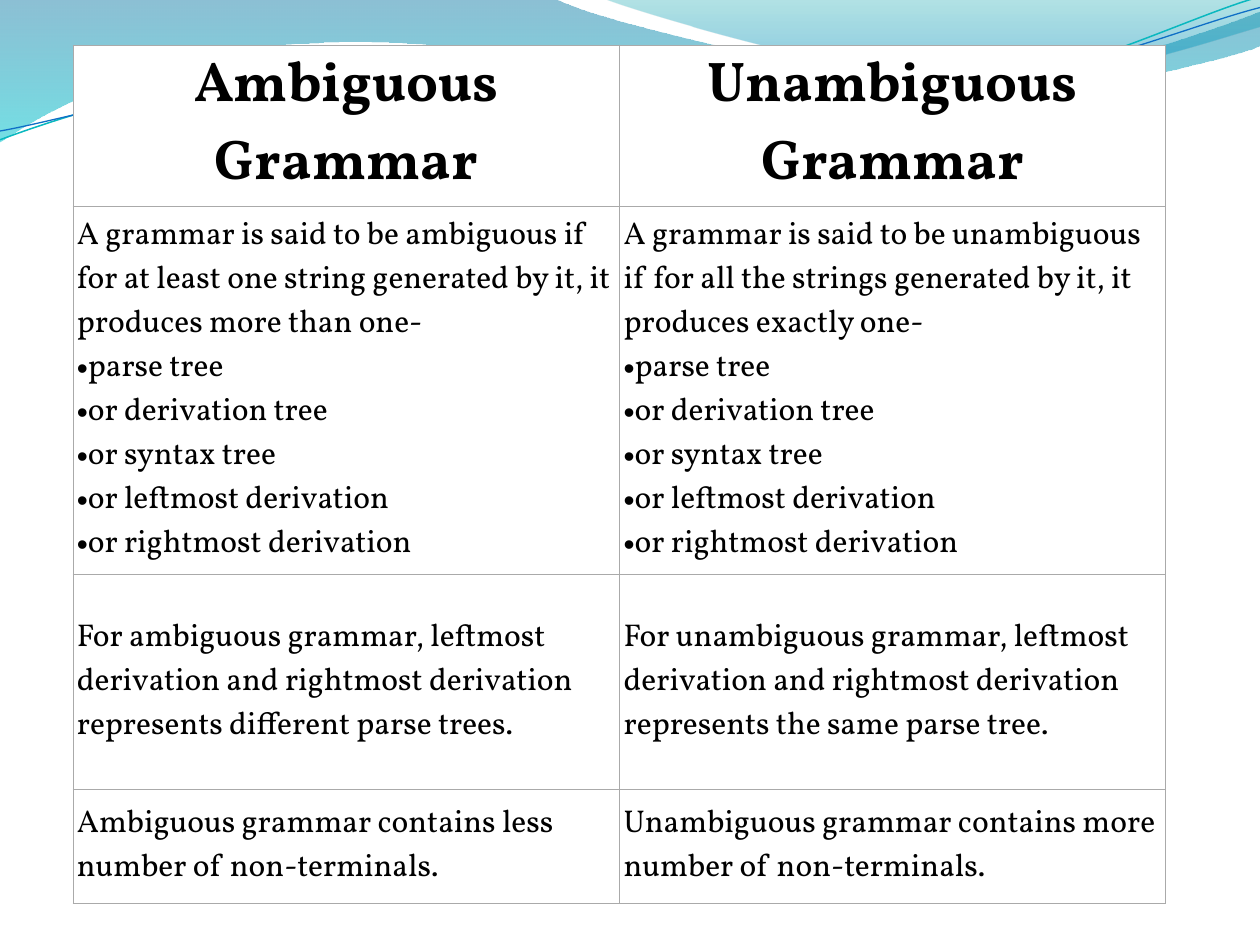
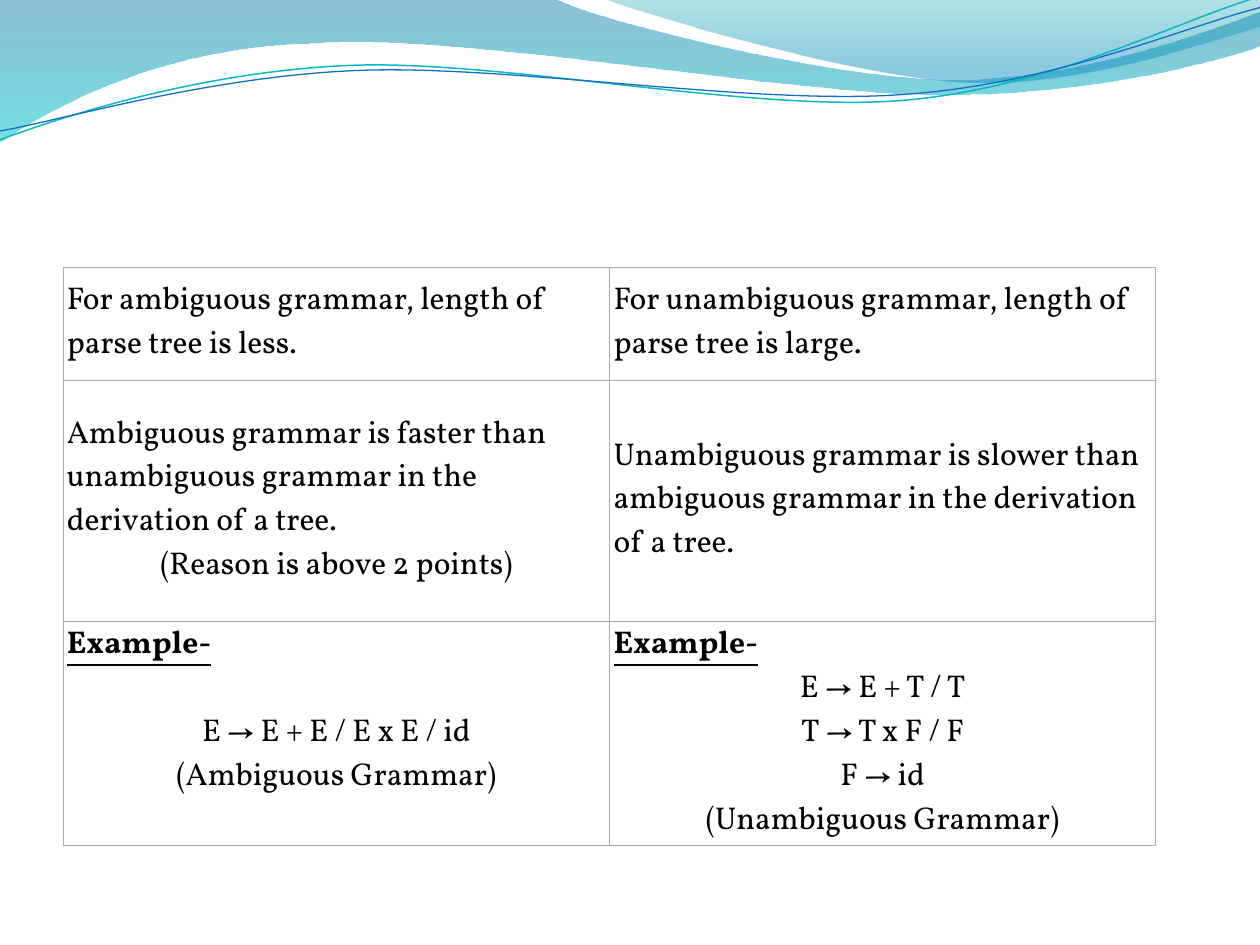
"""Build two slides that compare ambiguous and unambiguous grammars."""
from lxml.etree import Element, SubElement
from pptx import Presentation
from pptx.dml.color import RGBColor
from pptx.enum.text import MSO_ANCHOR, PP_ALIGN
from pptx.oxml.ns import qn
from pptx.util import Inches, Pt

FONT = "Vollkorn"
BULLET_FONT = "Arial"
COLORS = {
    "text": "000000", "cell": "FFFFFF", "border": "AAAAAA",
    "wave_top": "0074A1", "wave_bottom": "00C6CF",
    "crest_top": "00A1A9", "crest_bottom": "008BBF",
    "teal_line": "0AB8BF", "blue_line": "0F6FC6",
}
STYLES = {
    "heading": {"size": 32, "bold": True, "align": PP_ALIGN.CENTER},
    "body": {},
    "bullet": {},
    "label": {"bold": True, "underline": True},
    "centred": {"align": PP_ALIGN.CENTER},
    "spaced": {"align": PP_ALIGN.CENTER, "before": 25},
}
COLUMN_WIDTHS = [4.34, 4.33]

WAVES = [
    {"start": (0, 0),
     "segments": [
         [(4.4, -0.01)],
         [(4.76, 0.17), (6.64, 0.63), (7.58, 0.63)],
         [(8.53, 0.63), (9.58, 0.26), (10, 0.09)],
         [(10.01, 0.36)],
         [(9.83, 0.44), (8.7, 0.76), (7.46, 0.75)],
         [(6.22, 0.75), (3.82, 0.28), (2.57, 0.34)],
         [(1.29, 0.36), (0.46, 0.83), (-0.01, 1.13)]],
     "stops": [(0, "wave_top", 45), (1, "wave_bottom", 55)]},
    {"start": (4.79, -0.01),
     "segments": [
         [(5.09, 0.11), (6.82, 0.62), (7.69, 0.65)],
         [(8.56, 0.69), (9.61, 0.32), (10, 0.21)],
         [(10, 0)]],
     "stops": [(0, "crest_top", 30), (0.8, "crest_bottom", 45)]},
    {"start": (0, 1.11),
     "segments": [
         [(0.48, 0.93), (1.58, 0.57), (2.77, 0.52)],
         [(3.95, 0.47), (5.93, 0.89), (7.13, 0.8)],
         [(8.33, 0.71), (9.38, 0.15), (9.98, -0.02)]],
     "line": ("teal_line", 0.85)},
    {"start": (0, 1.04),
     "segments": [
         [(0.47, 0.96), (1.64, 0.61), (2.83, 0.56)],
         [(4.03, 0.51), (5.97, 0.84), (7.17, 0.75)],
         [(8.36, 0.67), (9.41, 0.21), (10, 0.06)]],
     "line": ("blue_line", 0.75)},
]

TREE_KINDS = [("bullet", kind) for kind in (
    "parse tree", "or derivation tree", "or syntax tree",
    "or leftmost derivation", "or rightmost derivation")]

COMPARISONS = [
    {"left": 0.58, "top": 0.36, "heights": [1.28, 2.92, 1.71, 0.9],
     "rows": [
         [[("heading", "Ambiguous Grammar")],
          [("heading", "Unambiguous Grammar")]],
         [[("body", "A grammar is said to be ambiguous if for at least one string "
                    "generated by it, it produces more than one-")] + TREE_KINDS,
          [("body", "A grammar is said to be unambiguous if for all the strings "
                    "generated by it, it produces exactly one-")] + TREE_KINDS],
         [[("body", "For ambiguous grammar, leftmost derivation and rightmost "
                    "derivation represents different parse trees.")],
          [("body", "For unambiguous grammar, leftmost derivation and rightmost "
                    "derivation represents the same parse tree.")]],
         [[("body", "Ambiguous grammar contains less number of non-terminals.")],
          [("body", "Unambiguous grammar contains more number of non-terminals.")]]]},
    {"left": 0.5, "top": 2.12, "heights": [0.9, 1.91, 1.78],
     "rows": [
         [[("body", "For ambiguous grammar, length of parse tree is less.")],
          [("body", "For unambiguous grammar, length of parse tree is large.")]],
         [[("body", "Ambiguous grammar is faster than unambiguous grammar in the "
                    "derivation of a tree."),
           ("centred", "(Reason is above 2 points)")],
          [("body", "Unambiguous grammar is slower than ambiguous grammar in the "
                    "derivation of a tree.")]],
         [[("label", "Example-"),
           ("spaced", "E\u00a0→ E + E / E x E / id"),
           ("centred", "(Ambiguous Grammar)")],
          [("label", "Example-"),
           ("centred", "E\u00a0→ E + T / T"),
           ("centred", "T\u00a0→ T x F / F"),
           ("centred", "F\u00a0→ id"),
           ("centred", "(Unambiguous Grammar)")]]]},
]


def draw_outline(slide, start, segments, closed):
    """Draw straight and cubic segments as one freeform."""
    builder = slide.shapes.build_freeform(Inches(start[0]), Inches(start[1]))
    ends = [(Inches(x), Inches(y)) for x, y in (segment[-1] for segment in segments)]
    builder.add_line_segments(ends, close=closed)
    outline = builder.convert_to_shape()
    straight_lines = list(outline.element.iter(qn("a:lnTo")))
    for straight, segment in zip(straight_lines, segments):
        if len(segment) == 3:
            curve = Element(qn("a:cubicBezTo"))
            for x, y in segment:
                SubElement(curve, qn("a:pt"), x=str(Inches(x) - outline.left),
                           y=str(Inches(y) - outline.top))
            straight.getparent().replace(straight, curve)
    outline.shadow.inherit = False
    return outline


def write_cell(cell, paragraphs):
    """Fill one bordered table cell with styled paragraphs."""
    cell.margin_left = cell.margin_right = Inches(0.03)
    cell.margin_top = cell.margin_bottom = Inches(0.02)
    labelled = paragraphs[0][0] == "label"
    cell.vertical_anchor = MSO_ANCHOR.TOP if labelled else MSO_ANCHOR.MIDDLE
    properties = cell._tc.get_or_add_tcPr()
    for side in ("lnL", "lnR", "lnT", "lnB"):
        border = SubElement(properties, qn(f"a:{side}"), w=str(Pt(0.6)))
        border_fill = SubElement(border, qn("a:solidFill"))
        SubElement(border_fill, qn("a:srgbClr"), val=COLORS["border"])
    cell.fill.solid()
    cell.fill.fore_color.rgb = RGBColor.from_string(COLORS["cell"])
    cell.text_frame.text = "\n".join(text for _, text in paragraphs)
    for paragraph, (kind, _) in zip(cell.text_frame.paragraphs, paragraphs):
        style = STYLES[kind]
        paragraph.alignment = style.get("align", PP_ALIGN.LEFT)
        paragraph.space_before = Pt(style.get("before", 0))
        if kind == "bullet":
            layout = paragraph._p.get_or_add_pPr()
            SubElement(layout, qn("a:buFont"), typeface=BULLET_FONT)
            SubElement(layout, qn("a:buChar"), char="•")
        font = paragraph.runs[0].font
        font.name = FONT
        font.size = Pt(style.get("size", 18))
        font.bold = style.get("bold", False)
        font.underline = style.get("underline", False)
        font.color.rgb = RGBColor.from_string(COLORS["text"])


presentation = Presentation()
presentation.slide_width = Inches(10)
presentation.slide_height = Inches(7.5)

for comparison in COMPARISONS:
    slide = presentation.slides.add_slide(presentation.slide_layouts[6])

    for wave in WAVES:
        filled = "stops" in wave
        ribbon = draw_outline(slide, wave["start"], wave["segments"], filled)
        if filled:
            ribbon.line.fill.background()
            ribbon.fill.gradient()
            ribbon.fill.gradient_angle = 270
            for stop, (position, color, _) in zip(ribbon.fill.gradient_stops, wave["stops"]):
                stop.position = position
                stop.color.rgb = RGBColor.from_string(COLORS[color])
            tints = ribbon.element.spPr.iter(qn("a:srgbClr"))
            for tint, (_, _, opacity) in zip(tints, wave["stops"]):
                SubElement(tint, qn("a:alpha"), val=str(opacity * 1000))
        else:
            color, width = wave["line"]
            ribbon.fill.background()
            ribbon.line.color.rgb = RGBColor.from_string(COLORS[color])
            ribbon.line.width = Pt(width)

    heights = comparison["heights"]
    table = slide.shapes.add_table(
        len(heights), len(COLUMN_WIDTHS),
        Inches(comparison["left"]), Inches(comparison["top"]),
        Inches(sum(COLUMN_WIDTHS)), Inches(sum(heights))).table
    table.first_row = table.horz_banding = False
    for column, width in zip(table.columns, COLUMN_WIDTHS):
        column.width = Inches(width)
    for row, height, contents in zip(table.rows, heights, comparison["rows"]):
        row.height = Inches(height)
        for cell, paragraphs in zip(row.cells, contents):
            write_cell(cell, paragraphs)

presentation.save("out.pptx")
